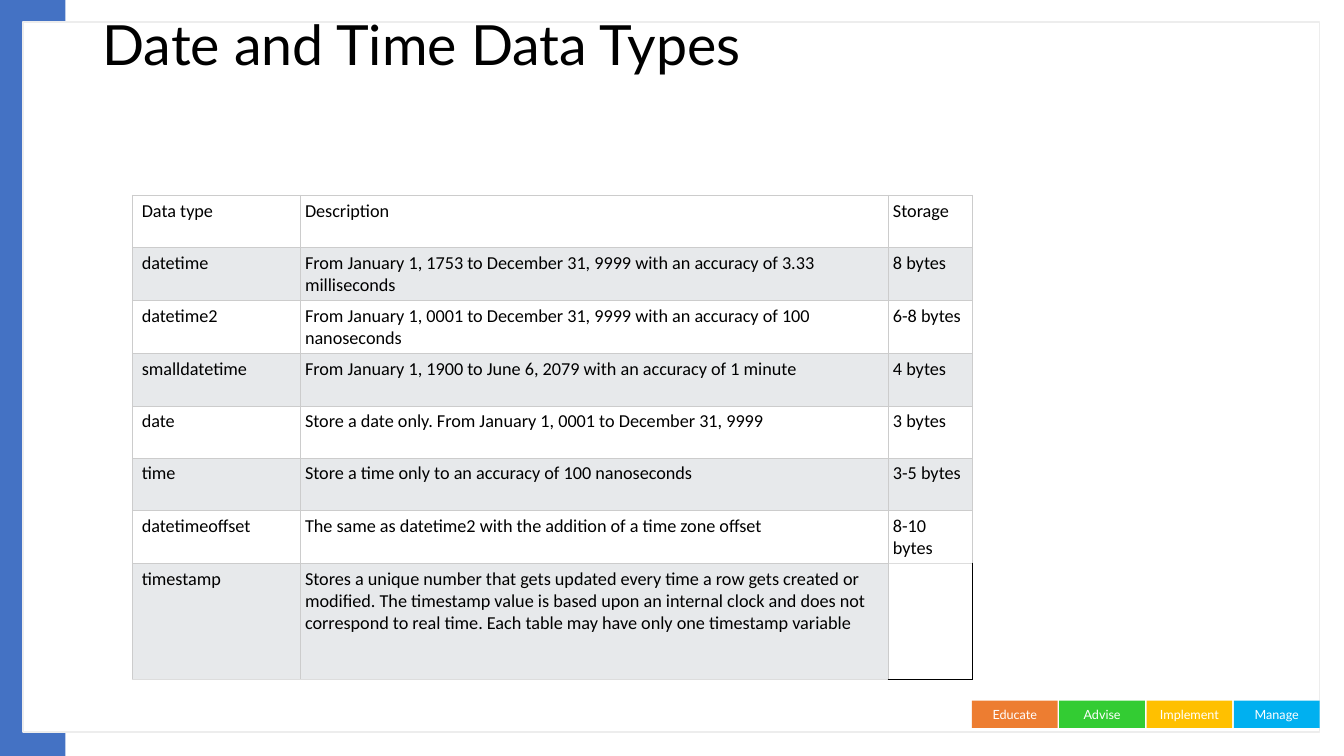
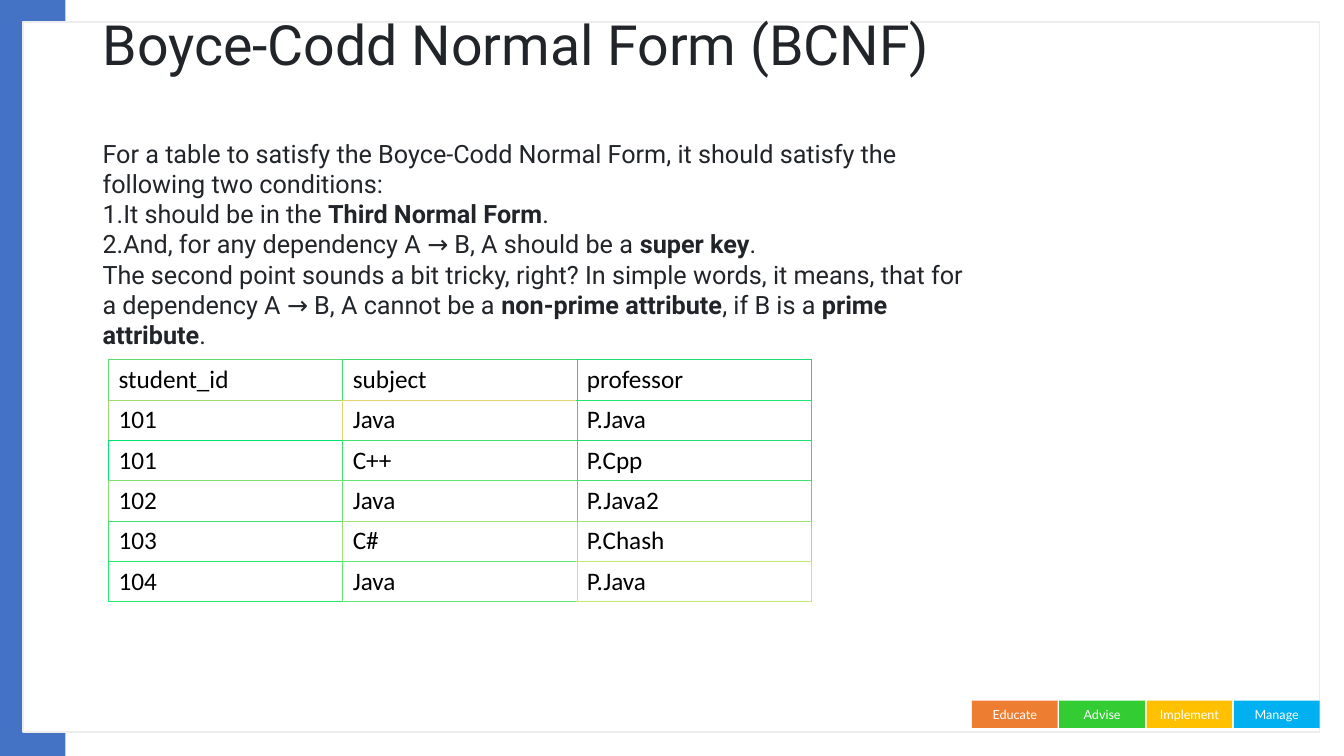
from lxml import etree
from pptx import Presentation
from pptx.dml.color import RGBColor
from pptx.enum.shapes import MSO_SHAPE as Shape
from pptx.enum.text import MSO_ANCHOR as Anchor, PP_ALIGN as Align
from pptx.oxml.ns import qn
from pptx.util import Pt

# Shared look
WHITE, BLACK, INK = "FFFFFF", "000000", "212529"
BLUE, FRAME, GREY, LINE, PALE = "4472C4", "EDEDED", "E7E9EB", "CCCCCC", "DDDDDD"
TABS = [("Educate", "ED7D31"), ("Advise", "33CC33"),
        ("Implement", "FFC000"), ("Manage", "00B0F0")]

# Content
DATES = [
    ("Data type", "Description", "Storage"),
    ("datetime", "From January 1, 1753 to December 31, 9999 with an accuracy "
     "of 3.33 milliseconds", "8 bytes"),
    ("datetime2", "From January 1, 0001 to December 31, 9999 with an accuracy "
     "of 100 nanoseconds", "6-8 bytes"),
    ("smalldatetime", "From January 1, 1900 to June 6, 2079 with an accuracy "
     "of 1 minute", "4 bytes"),
    ("date", "Store a date only. From January 1, 0001 to December 31, 9999",
     "3 bytes"),
    ("time", "Store a time only to an accuracy of 100 nanoseconds", "3-5 bytes"),
    ("datetimeoffset", "The same as datetime2 with the addition of a time zone "
     "offset", "8-10 bytes"),
    ("timestamp", "Stores a unique number that gets updated every time a row "
     "gets created or modified. The timestamp value is based upon an internal "
     "clock and does not correspond to real time. Each table may have only one "
     "timestamp variable", ""),
]
# Bold parts stand between double stars; the flag marks numbered lines
RULES = [
    ("For a table to satisfy the Boyce-Codd Normal Form, it should satisfy the "
     "following two conditions:", False),
    ("It should be in the **Third Normal Form**.", True),
    ("And, for any dependency A → B, A should be a **super key**.", True),
    ("The second point sounds a bit tricky, right? In simple words, it means, "
     "that for a dependency A → B, A cannot be a **non-prime attribute**, if B "
     "is a **prime attribute**.", False),
]
CLASSES = [
    ("student_id", "subject", "professor"),
    ("101", "Java", "P.Java"),
    ("101", "C++", "P.Cpp"),
    ("102", "Java", "P.Java2"),
    ("103", "C#", "P.Chash"),
    ("104", "Java", "P.Java"),
]
# Colour of the left and top edge of each class cell
TINTS = [
    ("60DA70", "40DA70", "20DA70"),
    ("A0DB70", "E0D770", "20E570"),
    ("00E570", "40E170", "20E170"),
    ("80DF70", "60E570", "40E370"),
    ("40E270", "A0E370", "A0E370"),
    ("20ED70", "60EA70", "C0EB70"),
]


def rgb(code):
    return RGBColor.from_string(code)


def style(para, size, face, color):
    font = para.font
    font.size, font.name = Pt(size), face
    font.color.rgb = rgb(color)


def rect(slide, x, y, w, h, fill, line=None):
    box = slide.shapes.add_shape(Shape.RECTANGLE, Pt(x), Pt(y), Pt(w), Pt(h))
    box.shadow.inherit = False
    box.fill.solid()
    box.fill.fore_color.rgb = rgb(fill)
    if line:
        box.line.color.rgb = rgb(line)
        box.line.width = Pt(1)
    else:
        box.line.fill.background()
    return box


def text(slide, x, y, w, h):
    frame = slide.shapes.add_textbox(Pt(x), Pt(y), Pt(w), Pt(h)).text_frame
    frame.word_wrap = True
    return frame


def base(deck, title, face, color):
    """Add a slide with its side band, frame, title and footer tabs."""
    slide = deck.slides.add_slide(deck.slide_layouts[6])
    rect(slide, 0, 0, 46.8, 540, BLUE)
    rect(slide, 16.5, 15.8, 926, 507, WHITE, FRAME)
    for i, (name, fill) in enumerate(TABS):
        tab = rect(slide, 694.2 + 62.4 * i, 500.5, 61.2, 19.4, fill)
        tab.text_frame.vertical_anchor = Anchor.MIDDLE
        para = tab.text_frame.paragraphs[0]
        para.text, para.alignment = name, Align.CENTER
        style(para, 9, "Lato", WHITE)
    frame = text(slide, 66.2, 8, 828, 52)
    frame.vertical_anchor = Anchor.MIDDLE
    para = frame.paragraphs[0]
    para.text, para.line_spacing = title, 0.9
    style(para, 39.6, face, color)
    return slide


def prose(frame, items):
    """Write paragraphs with bold parts and automatic numbers."""
    for i, (line, count) in enumerate(items):
        para = frame.add_paragraph() if i else frame.paragraphs[0]
        if count:
            props = para._p.get_or_add_pPr()
            props.set("marL", "0")
            props.set("indent", "0")
            etree.SubElement(props, qn("a:buAutoNum"), type="arabicPeriod")
        style(para, 18, "Roboto", INK)
        for j, part in enumerate(line.split("**")):
            run = para.add_run()
            run.text = part
            if j % 2:
                run.font.bold = True


def edges(cell, left, right, top, bottom, width=0.6):
    """Set the four borders, in the order that the format asks for."""
    props = cell._tc.get_or_add_tcPr()
    for i, (side, color) in enumerate(zip("LRTB", (left, right, top, bottom))):
        tag = qn("a:ln" + side)
        for old in props.findall(tag):
            props.remove(old)
        line = etree.Element(tag, w=str(Pt(width)))
        fill = etree.SubElement(line, qn("a:solidFill"))
        etree.SubElement(fill, qn("a:srgbClr"), val=color)
        props.insert(i, line)


def grid(slide, x, y, cols, highs, rows, size, tints, band=WHITE):
    """Add a table; each cell shares its edges with the next ones."""
    table = slide.shapes.add_table(len(rows), len(cols), Pt(x), Pt(y),
                                   Pt(sum(cols)), Pt(sum(highs))).table
    for col, w in zip(table.columns, cols):
        col.width = Pt(w)
    for row, h in zip(table.rows, highs):
        row.height = Pt(h)
    for r, row in enumerate(rows):
        for c, word in enumerate(row):
            cell = table.cell(r, c)
            cell.fill.solid()
            cell.fill.fore_color.rgb = rgb(band if r % 2 else WHITE)
            para = cell.text_frame.paragraphs[0]
            para.text = word
            style(para, size, "Calibri", BLACK)
            own = tints[r][c]
            right = tints[r][min(c + 1, len(cols) - 1)]
            below = tints[min(r + 1, len(rows) - 1)][c]
            edges(cell, own, right, own, below)
    return table


def dates(deck):
    slide = base(deck, "Date and Time Data Types", "Lato", BLACK)
    plain = [[LINE] * 3] * len(DATES)
    table = grid(slide, 94.5, 139.5, [120, 420, 60], [37.2] * 7 + [82.8],
                 DATES, 13, plain, GREY)
    for cell in table.iter_cells():
        cell.margin_left = cell.margin_right = Pt(3.4)
        cell.margin_top = cell.margin_bottom = Pt(3.4)
    for r in range(len(DATES)):
        table.cell(r, 0).margin_left = Pt(6.8)
    # The last row closes paler, and its empty cell has a black corner
    last = len(DATES) - 1
    for c in range(2):
        edges(table.cell(last, c), LINE, LINE, LINE, PALE)
    blank = table.cell(last, 2)
    blank.fill.background()
    edges(blank, LINE, BLACK, PALE, BLACK, 1)


def bcnf(deck):
    slide = base(deck, "Boyce-Codd Normal Form (BCNF)", "Roboto", INK)
    prose(text(slide, 66.2, 95, 640, 138), RULES)
    grid(slide, 77.5, 256.8, [167.3] * 3, [28.8] * 6, CLASSES, 18, TINTS)


def main():
    deck = Presentation()
    deck.slide_width, deck.slide_height = Pt(960), Pt(540)
    dates(deck)
    bcnf(deck)
    deck.save("out.pptx")


if __name__ == "__main__":
    main()
